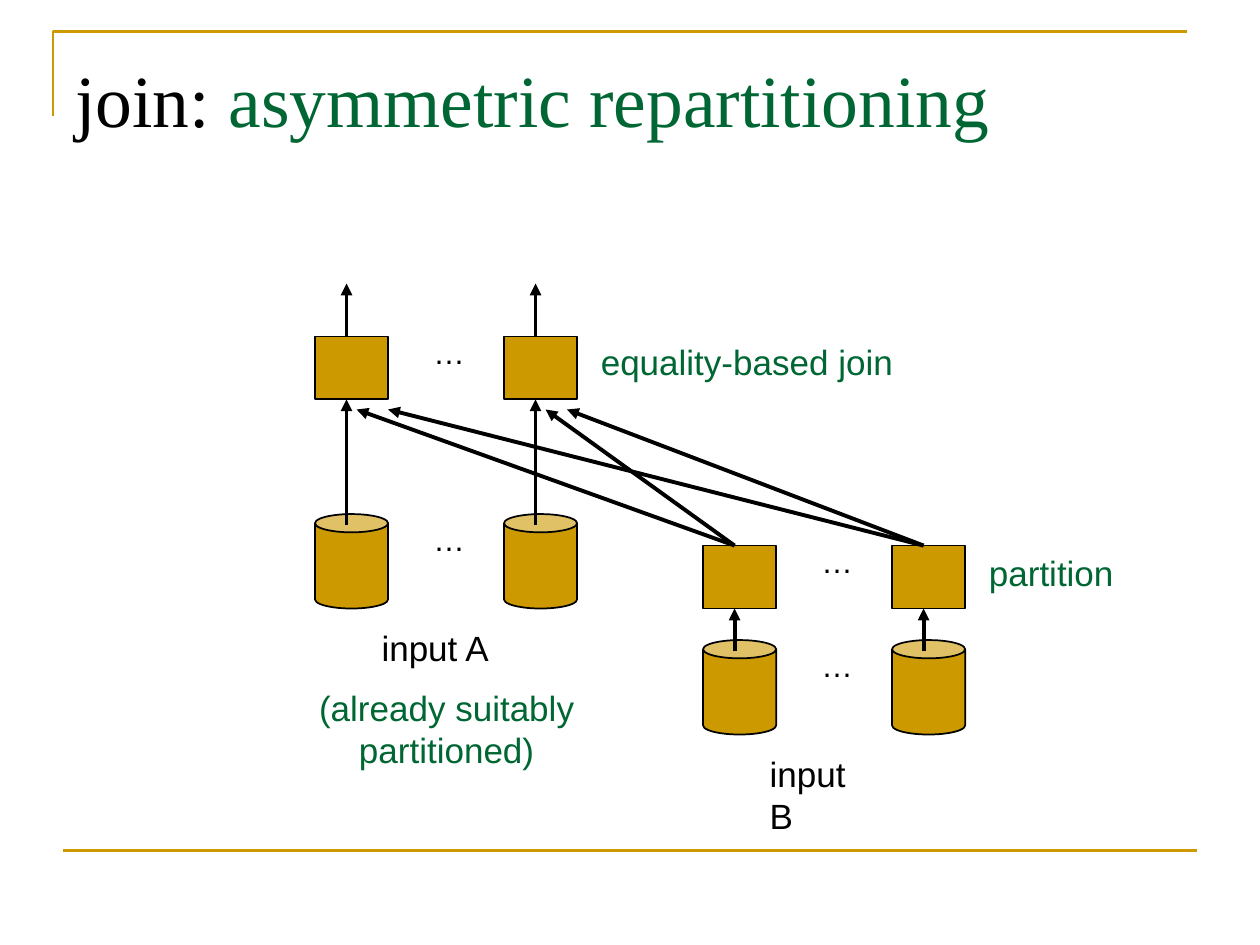
from lxml import etree
from pptx import Presentation
from pptx.dml.color import RGBColor
from pptx.enum import shapes, text
from pptx.oxml import ns
from pptx.util import Inches, Pt

GOLD, GREEN, BLACK = "CC9900", "006633", "000000"
SHAPE = shapes.MSO_SHAPE
COLUMN_GAP = 1.5
NODE_WIDTH = 0.58
CENTER = 0.25

TITLE = [("join:", BLACK), (" asymmetric repartitioning", GREEN)]
ROWS = [
    (SHAPE.CAN, 2.5, 4.08, 0.75),
    (SHAPE.CAN, 5.58, 5.08, 0.75),
    (SHAPE.RECTANGLE, 2.5, 2.67, 0.5),
    (SHAPE.RECTANGLE, 5.58, 4.33, 0.5),
]
VERTICAL_FLOWS = [(2.5, 2.67, 2.25), (2.5, 4.17, 3.17), (5.58, 5.17, 4.83)]
REPARTITION_TOP, REPARTITION_BOTTOM = 3.25, 4.33
REPARTITION_FLOWS = [(5.83, 2.83), (7.33, 4.5), (7.33, 3.08), (5.83, 4.33)]
LABELS = [
    ("input B", BLACK, (6.01, 5.92, 1.06, 0.44), False, "LEFT"),
    ("input A", BLACK, (2.93, 4.92, 1.06, 0.44), False, "LEFT"),
    ("equality-based join", GREEN, (4.67, 2.65, 3, 0.44), True, "LEFT"),
    ("partition", GREEN, (7.75, 4.33, 1.25, 0.44), True, "LEFT"),
    ("(already suitably partitioned)", GREEN, (2.42, 5.4, 2.25, 0.77), True, "CENTER"),
]


def color(hex_string):
    return RGBColor.from_string(hex_string)


def add_text(slide, runs, place, size=20, font="Arial", wrap=True, align="LEFT", inset_top=0.05):
    box = slide.shapes.add_textbox(*map(Inches, place))
    frame = box.text_frame
    frame.word_wrap = wrap
    frame.margin_top = Inches(inset_top)
    paragraph = frame.paragraphs[0]
    paragraph.alignment = getattr(text.PP_ALIGN, align)
    for words, hue in runs:
        run = paragraph.add_run()
        run.text = words
        run.font.name = font
        run.font.size = Pt(size)
        run.font.color.rgb = color(hue)


def add_line(slide, start, end, hue=BLACK, width=2.25, arrow=True):
    line = slide.shapes.add_connector(
        shapes.MSO_CONNECTOR.STRAIGHT, *map(Inches, (*start, *end)))
    line.line.color.rgb = color(hue)
    line.line.width = Pt(width)
    properties = line._element.spPr
    if arrow:
        etree.SubElement(properties.find(ns.qn("a:ln")), ns.qn("a:tailEnd"), type="triangle")
    etree.SubElement(properties, ns.qn("a:effectLst"))


def add_node(slide, kind, left, top, height):
    node = slide.shapes.add_shape(kind, *map(Inches, (left, top, NODE_WIDTH, height)))
    node.shadow.inherit = False
    node.fill.solid()
    node.fill.fore_color.rgb = color(GOLD)
    node.line.color.rgb = color(BLACK)
    node.line.width = Pt(1)


def add_frame(slide):
    builder = slide.shapes.build_freeform(Inches(0.42), Inches(0.92))
    corner = [(Inches(0.42), Inches(0.25)), (Inches(9.42), Inches(0.25))]
    builder.add_line_segments(corner, close=False)
    bracket = builder.convert_to_shape()
    bracket.shadow.inherit = False
    bracket.fill.background()
    bracket.line.color.rgb = color(GOLD)
    bracket.line.width = Pt(1.5)
    add_line(slide, (0.5, 6.75), (9.5, 6.75), hue=GOLD, width=1.5, arrow=False)


def main():
    deck = Presentation()
    deck.slide_width, deck.slide_height = Inches(10), Inches(7.5)
    slide = deck.slides.add_slide(deck.slide_layouts[6])
    add_frame(slide)
    add_text(slide, TITLE, (0.5, 0.3, 9, 1.25), size=42,
             font="Times New Roman", inset_top=0.13)

    for kind, left, top, height in ROWS:
        for column in range(2):
            add_node(slide, kind, left + column * COLUMN_GAP, top, height)
        dots_top = top if kind == SHAPE.CAN else top - 0.08
        add_text(slide, [("…", BLACK)], (left + 0.84, dots_top, 0.45, 0.4), size=18, wrap=False)

    for left, bottom, top in VERTICAL_FLOWS:
        for column in range(2):
            x = left + CENTER + column * COLUMN_GAP
            add_line(slide, (x, bottom), (x, top))
    for source, target in REPARTITION_FLOWS:
        add_line(slide, (source, REPARTITION_BOTTOM), (target, REPARTITION_TOP))

    for words, hue, place, wrap, align in LABELS:
        add_text(slide, [(words, hue)], place, wrap=wrap, align=align)

    deck.save("out.pptx")


if __name__ == "__main__":
    main()
